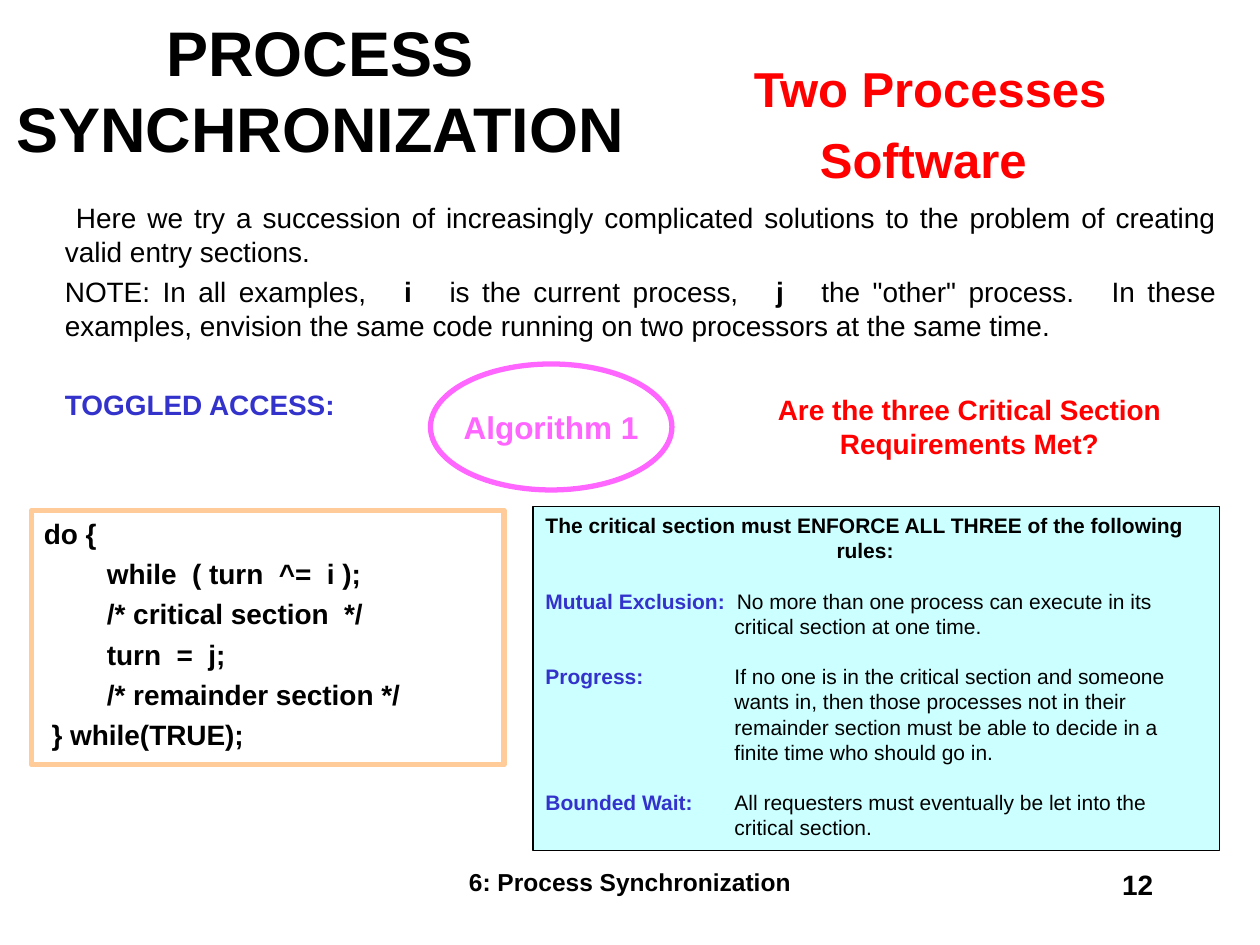
import pptx
import pptx.dml.color
import pptx.enum.shapes
import pptx.enum.text
import pptx.util
from dataclasses import dataclass

Pt = pptx.util.Pt
Align = pptx.enum.text.PP_ALIGN
Anchor = pptx.enum.text.MSO_ANCHOR
Form = pptx.enum.shapes.MSO_SHAPE


@dataclass(frozen=True)
class Theme:
    font: str = "Arial"
    ink: str = "000000"
    red: str = "FF0000"
    blue: str = "3333CC"
    pink: str = "FF66FF"
    peach: str = "FFCC99"
    aqua: str = "CCFFFF"
    title: int = 36
    head: int = 28
    label: int = 18
    body: int = 16
    foot: int = 14
    small: int = 12


def tint(code):
    return pptx.dml.color.RGBColor.from_string(code)


def write(frame, paras, font, size, color, bold=True, align=Align.LEFT,
          anchor=Anchor.TOP, wrap=True, gaps=None, hangs=None):
    frame.word_wrap = wrap
    frame.vertical_anchor = anchor
    for i, runs in enumerate(paras):
        para = frame.add_paragraph() if i else frame.paragraphs[0]
        para.alignment = align
        if i:
            para.space_before = Pt(gaps[i] if gaps else round(size * 0.24, 1))
        if hangs:
            props = para._p.get_or_add_pPr()
            props.set("marL", str(Pt(hangs[i])))
            props.set("indent", str(-Pt(hangs[i])))
        for text, look in [(runs, {})] if isinstance(runs, str) else runs:
            run = para.add_run()
            run.text = text
            run.font.name = font
            run.font.size = Pt(size)
            run.font.bold = look.get("bold", bold)
            run.font.color.rgb = tint(look.get("color", color))


class Page:
    """Holds the theme and the current slide, and adds elements to it."""

    def __init__(self, slide, theme):
        self.slide = slide
        self.theme = theme

    def text(self, box, paras, size, color=None, **look):
        item = self.slide.shapes.add_textbox(*map(Pt, box))
        write(item.text_frame, paras, self.theme.font, size,
              color or self.theme.ink, **look)

    def shape(self, form, box, paras, size, line, width, fill=None,
              color=None, **look):
        item = self.slide.shapes.add_shape(form, *map(Pt, box))
        item.shadow.inherit = False
        if fill:
            item.fill.solid()
            item.fill.fore_color.rgb = tint(fill)
        else:
            item.fill.background()
        item.line.color.rgb = tint(line)
        item.line.width = Pt(width)
        write(item.text_frame, paras, self.theme.font, size,
              color or self.theme.ink, **look)


def main():
    deck = pptx.Presentation()
    deck.slide_width, deck.slide_height = Pt(720), Pt(540)
    theme = Theme()
    page = Page(deck.slides.add_slide(deck.slide_layouts[6]), theme)
    strong = {"bold": True}
    term = {"bold": True, "color": theme.blue}

    page.text((246, 492, 228, 36), ["6: Process Synchronization"], theme.foot,
              align=Align.CENTER)
    page.text((516, 492, 150, 36), ["12"], theme.body, align=Align.RIGHT)
    page.text((0, 18, 366, 66), ["PROCESS SYNCHRONIZATION"], theme.title,
              align=Align.CENTER, anchor=Anchor.MIDDLE)
    page.text((422, 30, 219, 81), ["Two Processes", "Software "], theme.head,
              theme.red, align=Align.CENTER, wrap=False)

    page.text((30, 111, 672, 126), [
        " Here we try a succession of increasingly complicated solutions "
        "to the problem of creating valid entry sections.",
        [("NOTE: In all examples,   ", {}), ("i", strong),
         ("   is the current process,   ", {}), ("j  ", strong),
         (' the "other" process.   In these examples, envision the same code '
          "running on two processors at the same time.", {})],
        [("TOGGLED ACCESS:", term)],
    ], theme.body, bold=False, align=Align.JUSTIFY, gaps=[0, 4, 26])

    page.shape(Form.OVAL, (246, 208, 138, 72), ["Algorithm 1"], theme.label,
               theme.pink, 3, color=theme.pink, align=Align.CENTER,
               anchor=Anchor.MIDDLE, wrap=False)
    page.text((422, 221, 264, 46),
              ["Are the three Critical Section Requirements Met?"],
              theme.body, theme.red, align=Align.CENTER)

    page.shape(Form.RECTANGLE, (18, 291.6, 270, 145.4), [
        "do {",
        "\twhile  ( turn  ^=  i );",
        "\t/* critical section  */",
        "\tturn  =  j;",
        "\t/* remainder section */",
        " } while(TRUE);",
    ], theme.body, theme.peach, 3)

    rules = [
        ("Mutual Exclusion:", "  No more than one process can execute in its "
         "critical section at one time."),
        ("Progress:", "  \tIf no one is in the critical section and someone "
         "wants in, then those processes not in their remainder section must "
         "be able to decide in a finite time who should go in."),
        ("Bounded Wait:", " \tAll requesters must eventually be let into the "
         "critical section."),
    ]
    lead = ("The critical section must ENFORCE ALL THREE of the following "
            "rules:")
    page.shape(Form.RECTANGLE, (304.6, 289.4, 392.4, 196.6),
               [[(lead, strong)]] + [[(name, term), (rule, {})]
                                     for name, rule in rules],
               theme.small, theme.ink, 0.75, fill=theme.aqua, bold=False,
               gaps=[0] + [14.4] * len(rules),
               hangs=[166.3] + [108] * len(rules))

    deck.save("out.pptx")


if __name__ == "__main__":
    main()
